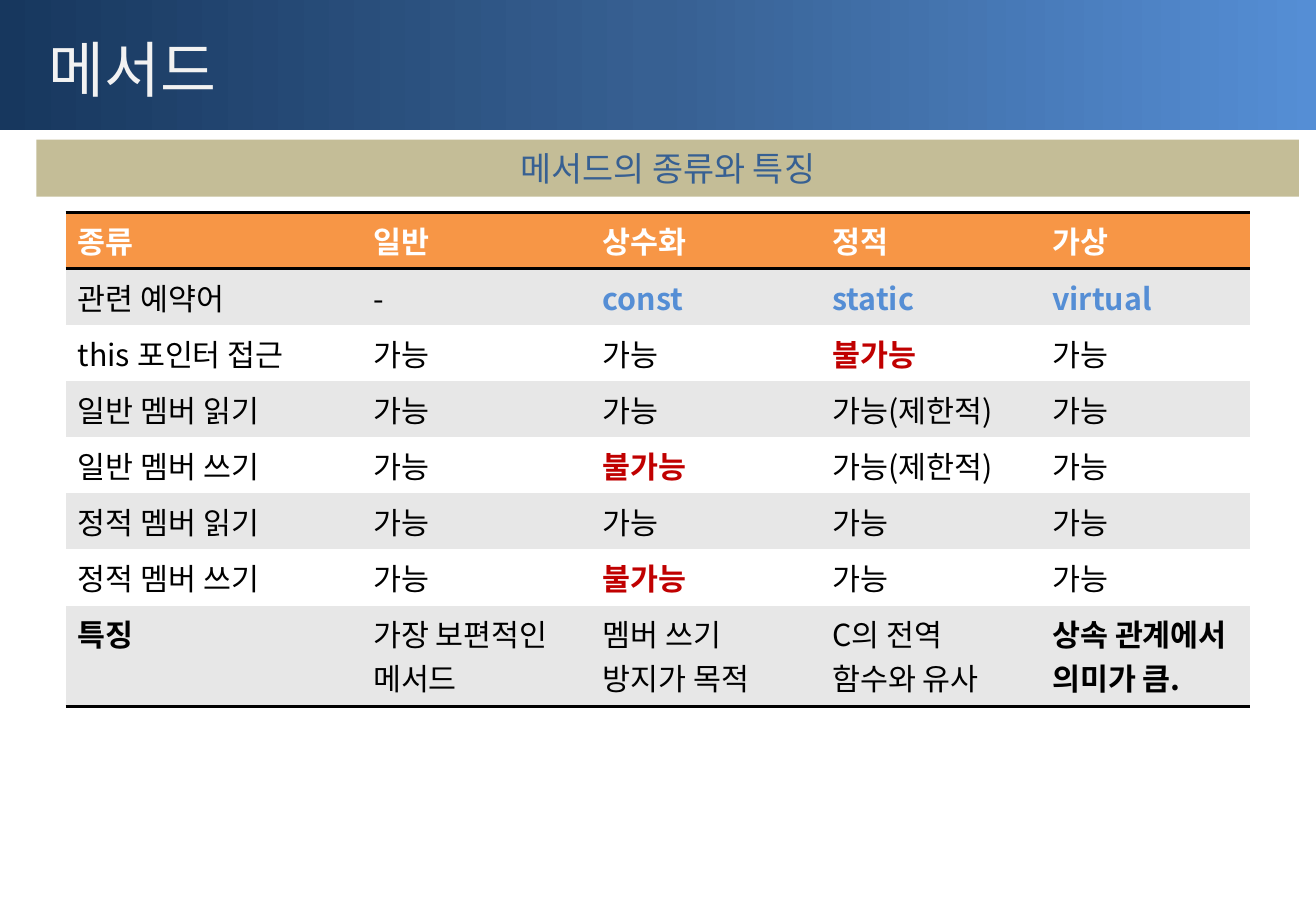
from dataclasses import dataclass

from lxml import etree
from pptx import Presentation
from pptx import util as u
from pptx.dml.color import RGBColor
from pptx.enum import shapes, text
from pptx.oxml.ns import qn

TITLE = "메서드"
SUBTITLE = "메서드의 종류와 특징"
METHODS = [
    ("종류", "일반", "상수화", "정적", "가상"),
    ("관련 예약어", "-", "const", "static", "virtual"),
    ("this 포인터 접근", "가능", "가능", "불가능", "가능"),
    ("일반 멤버 읽기", "가능", "가능", "가능(제한적)", "가능"),
    ("일반 멤버 쓰기", "가능", "불가능", "가능(제한적)", "가능"),
    ("정적 멤버 읽기", "가능", "가능", "가능", "가능"),
    ("정적 멤버 쓰기", "가능", "불가능", "가능", "가능"),
    ("특징", "가장 보편적인 메서드", "멤버 쓰기 방지가 목적",
     "C의 전역 함수와 유사", "상속 관계에서 의미가 큼."),
]
KEYWORDS = ("const", "static", "virtual")
DENIED = "불가능"
STRESSED = ("특징", "상속 관계에서 의미가 큼.")

COLUMN_WIDTHS = (2.43, 1.89, 1.89, 1.81, 1.73)
ROW_HEIGHT, LAST_ROW_HEIGHT = 0.46, 0.83
SLIDE_WIDTH, SLIDE_HEIGHT = 10.83, 7.5
MARGIN, CONTENT_WIDTH = 0.3, 10.39
PLAIN_TABLE_STYLE = "{2D5ABB26-0587-4C30-8999-92F81FD0307C}"


@dataclass(frozen=True)
class Theme:
    """Colours, font and type sizes of the slide."""
    font: str = "Noto Sans CJK KR"
    title_size: int = 36
    subtitle_size: int = 20
    table_size: int = 18
    rule_width: int = 2
    banner: tuple = ((0, "17375E"), (50, "376092"), (100, "558ED5"))
    title: str = "F2F2F2"
    subtitle: str = "376092"
    subtitle_fill: str = "C4BD97"
    header: str = "F79646"
    bands: tuple = ("FFFFFF", "E7E7E7")
    white: str = "FFFFFF"
    ink: str = "000000"
    keyword: str = "558ED5"
    denied: str = "C00000"


THEME = Theme()


def paint(fill, color):
    """Give a fill one solid colour."""
    fill.solid()
    fill.fore_color.rgb = RGBColor.from_string(color)


def write(frame, words, *, size, color, bold=False, align=text.PP_ALIGN.LEFT,
          anchor=None):
    """Put formatted words in a text frame and return its paragraph."""
    frame.text = words
    frame.word_wrap = True
    if anchor is not None:
        frame.vertical_anchor = anchor
        frame.auto_size = text.MSO_AUTO_SIZE.NONE
    paragraph = frame.paragraphs[0]
    paragraph.alignment = align
    font = paragraph.runs[0].font
    font.size, font.bold = u.Pt(size), bold
    font.color.rgb = RGBColor.from_string(color)
    font.name = THEME.font
    east_asian = etree.SubElement(paragraph.runs[0]._r.rPr, qn("a:ea"))
    east_asian.set("typeface", THEME.font)
    return paragraph


def place(shape, left, top, width, height):
    """Set the position and size of a shape in inches."""
    shape.left, shape.top = u.Inches(left), u.Inches(top)
    shape.width, shape.height = u.Inches(width), u.Inches(height)


def add_banner(slide):
    """Add the gradient band behind the title."""
    banner = slide.shapes.add_shape(
        shapes.MSO_SHAPE.RECTANGLE, 0, 0, u.Inches(SLIDE_WIDTH), u.Inches(1.07))
    banner.shadow.inherit = False
    banner.line.fill.background()
    banner.fill.gradient()
    banner.fill.gradient_angle = 0
    stops = banner._element.spPr.find(".//" + qn("a:gsLst"))
    for stop in list(stops):
        stops.remove(stop)
    for percent, color in THEME.banner:
        stop = etree.SubElement(stops, qn("a:gs"), pos=str(percent * 1000))
        etree.SubElement(stop, qn("a:srgbClr"), val=color)
    slide.shapes._spTree.insert(2, banner._element)


def add_headings(slide):
    """Fill the title and body placeholders."""
    title, subtitle = slide.placeholders
    place(title, MARGIN, 0.13, CONTENT_WIDTH, 0.87)
    write(title.text_frame, TITLE, size=THEME.title_size, color=THEME.title,
          anchor=text.MSO_ANCHOR.MIDDLE)
    place(subtitle, MARGIN, 1.15, CONTENT_WIDTH, 0.47)
    paint(subtitle.fill, THEME.subtitle_fill)
    paragraph = write(
        subtitle.text_frame, SUBTITLE, size=THEME.subtitle_size,
        color=THEME.subtitle, align=text.PP_ALIGN.CENTER,
        anchor=text.MSO_ANCHOR.MIDDLE)
    properties = paragraph._p.get_or_add_pPr()
    properties.set("marL", "0")
    properties.set("indent", "0")
    etree.SubElement(properties, qn("a:buNone"))


def rule(cell, *sides):
    """Draw border lines on the given sides of a cell."""
    for side in sides:
        line = etree.SubElement(cell._tc.get_or_add_tcPr(), qn("a:ln" + side),
                                w=str(u.Pt(THEME.rule_width)))
        solid = etree.SubElement(line, qn("a:solidFill"))
        etree.SubElement(solid, qn("a:srgbClr"), val=THEME.ink)


def cell_style(words, is_header):
    """Return the colour and weight that a cell's words call for."""
    if is_header:
        return {"color": THEME.white, "bold": True}
    if words in KEYWORDS:
        return {"color": THEME.keyword, "bold": True}
    if words == DENIED:
        return {"color": THEME.denied, "bold": True}
    return {"color": THEME.ink, "bold": words in STRESSED}


def add_methods(slide):
    """Add the table that compares the kinds of method."""
    last = len(METHODS) - 1
    heights = [ROW_HEIGHT] * last + [LAST_ROW_HEIGHT]
    frame = slide.shapes.add_table(
        len(METHODS), len(COLUMN_WIDTHS), u.Inches(0.54), u.Inches(1.75),
        u.Inches(sum(COLUMN_WIDTHS)), u.Inches(sum(heights)))
    table = frame.table
    table.horz_banding = False
    table._tbl.tblPr.find(qn("a:tableStyleId")).text = PLAIN_TABLE_STYLE
    for column, width in zip(table.columns, COLUMN_WIDTHS):
        column.width = u.Inches(width)
    for index, (row, method) in enumerate(zip(table.rows, METHODS)):
        row.height = u.Inches(heights[index])
        sides = {0: ("T", "B"), last: ("B",)}.get(index, ())
        for cell, words in zip(row.cells, method):
            rule(cell, *sides)
            paint(cell.fill, THEME.bands[index % 2] if index else THEME.header)
            write(cell.text_frame, words, size=THEME.table_size,
                  **cell_style(words, index == 0))


def build():
    """Build the slide and save it."""
    deck = Presentation()
    deck.slide_width = u.Inches(SLIDE_WIDTH)
    deck.slide_height = u.Inches(SLIDE_HEIGHT)
    slide = deck.slides.add_slide(deck.slide_layouts[1])
    add_headings(slide)
    add_banner(slide)
    add_methods(slide)
    deck.save("out.pptx")


build()
